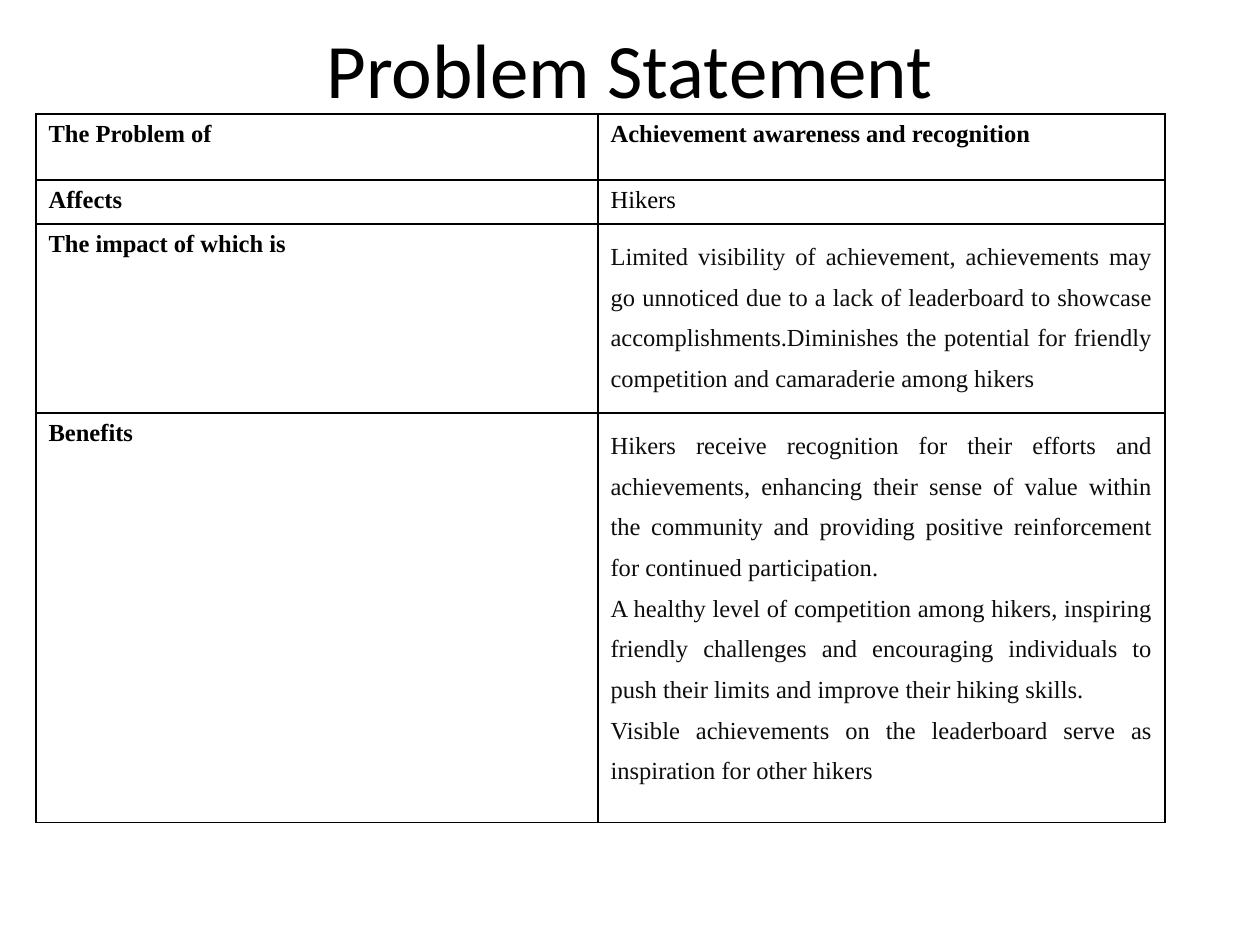
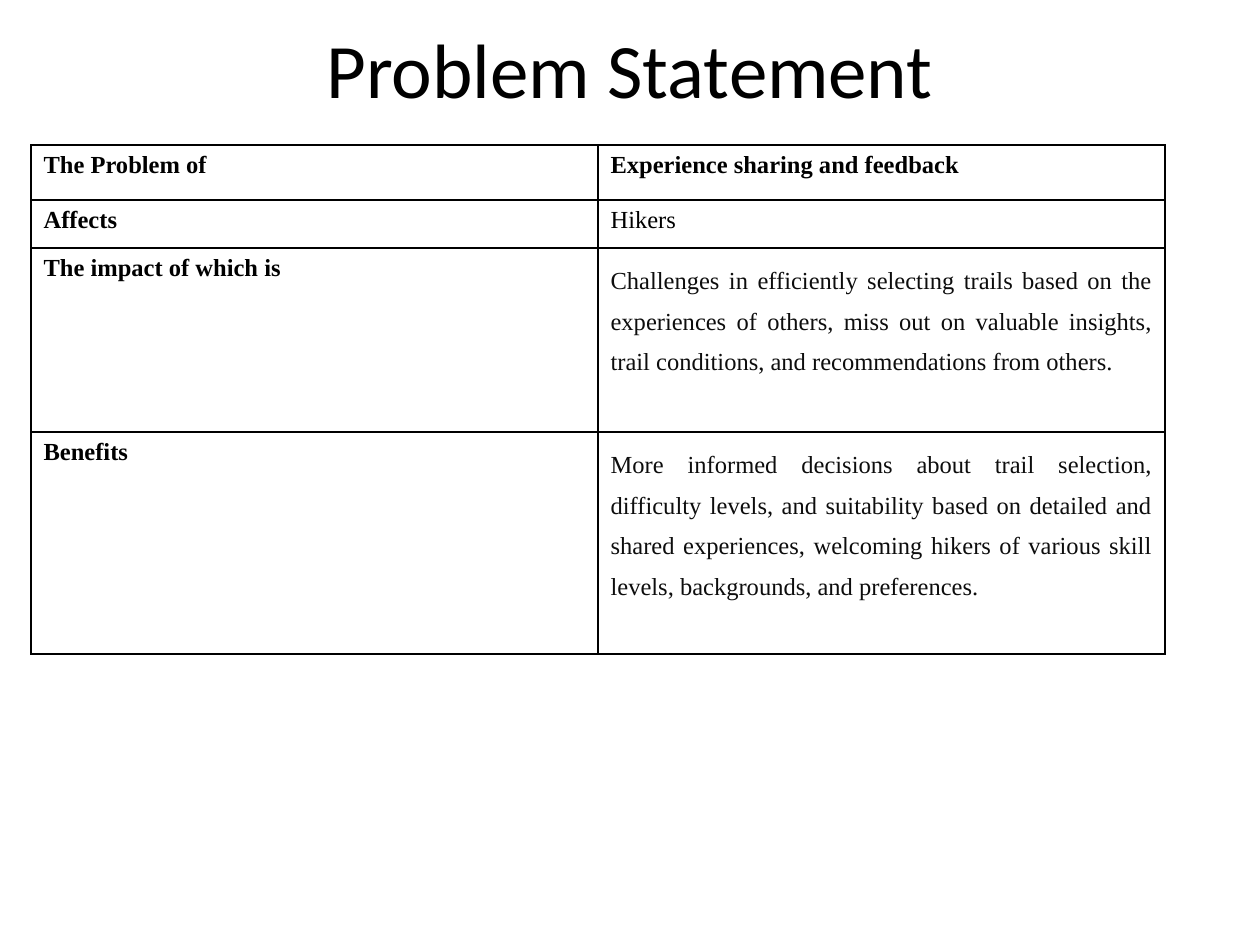
"""Build two problem statement slides, each a title over a two-column table."""
from pptx import Presentation
from pptx import util as u
from pptx.dml.color import RGBColor
from pptx.enum import text
from pptx.oxml import parse_xml
from pptx.oxml.ns import nsdecls

BLACK = RGBColor(0x00, 0x00, 0x00)
INK = RGBColor(0x0D, 0x0D, 0x0D)
WHITE = RGBColor(0xFF, 0xFF, 0xFF)

TITLE = "Problem Statement"
LABELS = ["The Problem of", "Affects", "The impact of which is", "Benefits"]
STATEMENTS = [
    {
        "corner": (36, 114),
        "columns": (562, 567),
        "rows": (66, 44, 178, 378),
        "answers": [
            ["Achievement awareness and recognition"],
            ["Hikers"],
            ["Limited visibility of achievement, achievements may go unnoticed due to a "
             "lack of leaderboard to showcase accomplishments.Diminishes the potential "
             "for friendly competition and camaraderie among hikers"],
            ["Hikers receive recognition for their efforts and achievements, enhancing "
             "their sense of value within the community and providing positive "
             "reinforcement for continued participation.",
             "A healthy level of competition among hikers, inspiring friendly challenges "
             "and encouraging individuals to push their limits and improve their hiking "
             "skills.",
             "Visible achievements on the leaderboard serve as inspiration for other "
             "hikers"],
        ],
    },
    {
        "corner": (31, 145),
        "columns": (567, 567),
        "rows": (55, 48, 184, 222),
        "answers": [
            ["Experience sharing and feedback"],
            ["Hikers"],
            ["Challenges in efficiently selecting trails based on the experiences of "
             "others, miss out on valuable insights, trail conditions, and "
             "recommendations from others."],
            ["More informed decisions about trail selection, difficulty levels, and "
             "suitability based on detailed and shared experiences, welcoming hikers of "
             "various skill levels, backgrounds, and preferences."],
        ],
    },
]

SLIDE_SIZE = (1260, 945)
TITLE_BOX = (63, 0, 1134, 136)
TITLE_FONT = {"name": "Calibri", "size": u.Pt(44), "bold": False}
CELL_FONT = {"name": "Times New Roman", "size": u.Pt(14)}
LABEL_FONT = {**CELL_FONT, "bold": True}
ANSWER_FONT = {**CELL_FONT, "bold": False}
TITLE_LINE = {"alignment": text.PP_ALIGN.CENTER}
SHORT_LINE = {"alignment": text.PP_ALIGN.LEFT}
PROSE_LINE = {"alignment": text.PP_ALIGN.JUSTIFY, "line_spacing": 1.5}
ANSWER_STYLES = [
    (LABEL_FONT, BLACK, SHORT_LINE),
    (ANSWER_FONT, BLACK, SHORT_LINE),
    (ANSWER_FONT, INK, PROSE_LINE),
    (ANSWER_FONT, INK, PROSE_LINE),
]


def px(length):
    return u.Emu(round(length * 914400 / 126))


def apply(target, values):
    for key, value in values.items():
        setattr(target, key, value)


def write(frame, lines, font, color, line_format):
    for index, line in enumerate(lines):
        paragraph = frame.add_paragraph() if index else frame.paragraphs[0]
        apply(paragraph, line_format)
        run = paragraph.add_run()
        run.text = line
        apply(run.font, font)
        run.font.color.rgb = color


def add_borders(cell):
    properties = cell._tc.get_or_add_tcPr()
    for position, side in enumerate(("lnL", "lnR", "lnT", "lnB")):
        border = parse_xml(
            f'<a:{side} {nsdecls("a")} w="{u.Pt(1)}"><a:solidFill>'
            f'<a:srgbClr val="{BLACK}"/></a:solidFill></a:{side}>')
        properties.insert(position, border)


def add_title(slide):
    frame = slide.shapes.add_textbox(*map(px, TITLE_BOX)).text_frame
    apply(frame, {"word_wrap": True, "vertical_anchor": text.MSO_ANCHOR.MIDDLE})
    write(frame, [TITLE], TITLE_FONT, BLACK, TITLE_LINE)


def add_statement(slide, statement):
    columns, rows = statement["columns"], statement["rows"]
    bounds = (*statement["corner"], sum(columns), sum(rows))
    table = slide.shapes.add_table(len(rows), len(columns), *map(px, bounds)).table
    apply(table, {"first_row": False, "horz_banding": False})
    for column, width in zip(table.columns, columns):
        column.width = px(width)
    entries = zip(table.rows, rows, LABELS, statement["answers"], ANSWER_STYLES)
    for row, height, label, answer, style in entries:
        row.height = px(height)
        for cell in row.cells:
            cell.fill.solid()
            cell.fill.fore_color.rgb = WHITE
            add_borders(cell)
        label_cell, answer_cell = row.cells
        write(label_cell.text_frame, [label], LABEL_FONT, BLACK, SHORT_LINE)
        write(answer_cell.text_frame, answer, *style)


def main():
    deck = Presentation()
    deck.slide_width, deck.slide_height = map(px, SLIDE_SIZE)
    for statement in STATEMENTS:
        slide = deck.slides.add_slide(deck.slide_layouts[6])
        add_title(slide)
        add_statement(slide, statement)
    deck.save("out.pptx")


if __name__ == "__main__":
    main()
